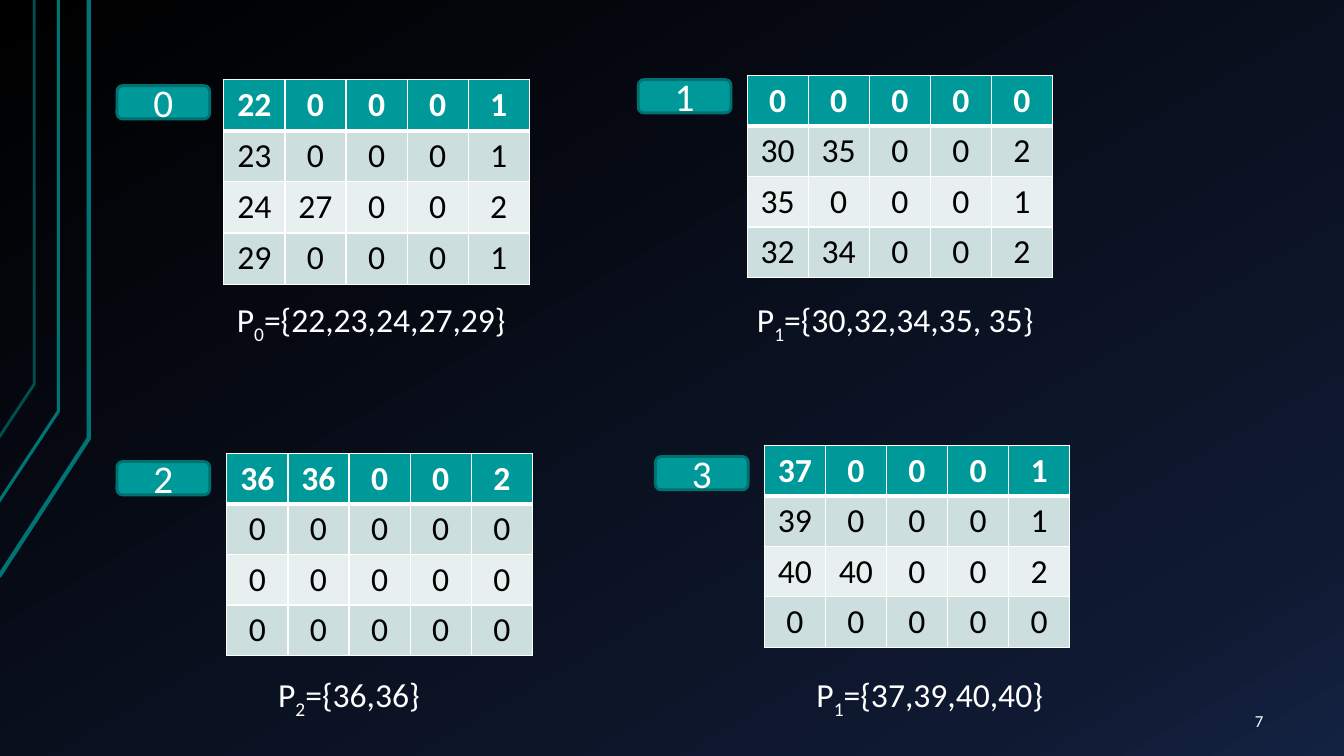
import copy
import pptx
import pptx.util
import pptx.dml.color
import pptx.enum.shapes
import pptx.enum.text
import pptx.oxml
import pptx.oxml.ns
from lxml import etree

Inches, Pt = pptx.util.Inches, pptx.util.Pt
RGB = pptx.dml.color.RGBColor
ALIGN, ANCHOR = pptx.enum.text.PP_ALIGN, pptx.enum.text.MSO_ANCHOR
qn = pptx.oxml.ns.qn

WHITE, BLACK = RGB(0xFF, 0xFF, 0xFF), RGB(0, 0, 0)
NAVY, BLUE = RGB(0x0F, 0x19, 0x31), RGB(0x14, 0x22, 0x42)
TEAL, TEAL_EDGE = RGB(0, 0x99, 0x99), RGB(0, 0x71, 0x71)
BRACKET, BRACKET_DIM = RGB(0, 0x73, 0x73), RGB(0, 0x50, 0x50)
BAND_DARK, BAND_LIGHT = RGB(0xCC, 0xDE, 0xDE), RGB(0xE7, 0xEF, 0xEF)


def add_run(p, text, size, color=WHITE, bold=False):
    r = p.add_run()
    r.text = text
    for name, value in {"size": Pt(size), "name": "Calibri", "bold": bold}.items():
        setattr(r.font, name, value)
    r.font.color.rgb = color
    return r


def add_border(cell, side, width):
    ln = etree.SubElement(cell._tc.get_or_add_tcPr(), qn("a:ln" + side), w=str(Pt(width)))
    fill = etree.SubElement(ln, qn("a:solidFill"))
    etree.SubElement(fill, qn("a:srgbClr"), val=str(WHITE))


prs = pptx.Presentation()
prs.slide_width, prs.slide_height = Inches(13.33), Inches(7.5)
s = prs.slides.add_slide(prs.slide_layouts[6])

# Background gradient
bg = s.background.fill
bg.gradient()
bg.gradient_angle = 300
stops = s.element.find(".//" + qn("a:gsLst"))
stops.insert(1, copy.deepcopy(stops[0]))
for stop, pos, color in zip(bg.gradient_stops, (0, 0.85, 1), (BLACK, NAVY, BLUE)):
    stop.position = pos
    stop.color.rgb = color

# Bracket lines on the left edge
for x0, y0, x1, y1, width, color in (
    (-0.01, 5.72, 0.88, 4.35, 3, BRACKET),
    (-0.02, 4.99, 0.58, 4.08, 2.25, BRACKET),
    (-0.01, 4.34, 0.34, 3.81, 2, BRACKET_DIM),
):
    fb = s.shapes.build_freeform(Inches(x0), Inches(y0))
    fb.add_line_segments([(Inches(x1), Inches(y1)), (Inches(x1), 0)], close=False)
    sp = fb.convert_to_shape()
    sp.shadow.inherit = False
    sp.fill.background()
    sp.line.color.rgb = color
    sp.line.width = Pt(width)

# Processors: label position, table position, caption position, subscript, set, rows
processors = [
    ((1.16, 0.85), (2.22, 0.79), (2.25, 2.92, 2.98), "0", "{22,23,24,27,29}",
     ["22 0 0 0 1", "23 0 0 0 1", "24 27 0 0 2", "29 0 0 0 1"]),
    ((6.33, 0.79), (7.41, 0.75), (7.41, 2.92, 3.06), "1", "{30,32,34,35, 35}",
     ["0 0 0 0 0", "30 35 0 0 2", "35 0 0 0 1", "32 34 0 0 2"]),
    ((1.16, 4.58), (2.25, 4.5), (2.66, 6.64, 1.71), "2", "{36,36}",
     ["36 36 0 0 2", "0 0 0 0 0", "0 0 0 0 0", "0 0 0 0 0"]),
    ((6.5, 4.53), (7.58, 4.42), (8, 6.64, 2.56), "1", "{37,39,40,40}",
     ["37 0 0 0 1", "39 0 0 0 1", "40 40 0 0 2", "0 0 0 0 0"]),
]
for number, (label, grid, caption, sub, members, rows) in enumerate(processors):
    # Number label
    sp = s.shapes.add_shape(pptx.enum.shapes.MSO_SHAPE.ROUNDED_RECTANGLE,
                            Inches(label[0]), Inches(label[1]), Inches(0.92), Inches(0.33))
    sp.shadow.inherit = False
    sp.fill.solid()
    sp.fill.fore_color.rgb = TEAL
    sp.line.color.rgb = TEAL_EDGE
    sp.line.width = Pt(2)
    tf = sp.text_frame
    tf.vertical_anchor = ANCHOR.MIDDLE
    tf.paragraphs[0].alignment = ALIGN.CENTER
    add_run(tf.paragraphs[0], str(number), 28)

    # Value table
    table = s.shapes.add_table(4, 5, Inches(grid[0]), Inches(grid[1]),
                               Inches(3.03), Inches(2)).table
    for i, row in enumerate(rows):
        for j, value in enumerate(row.split()):
            cell = table.cell(i, j)
            for side in "LRTB":
                thick = (i, side) in ((0, "B"), (1, "T"))
                add_border(cell, side, 3 if thick else 1)
            cell.fill.solid()
            cell.fill.fore_color.rgb = (TEAL, BAND_DARK, BAND_LIGHT, BAND_DARK)[i]
            p = cell.text_frame.paragraphs[0]
            p.alignment = ALIGN.CENTER
            add_run(p, value, 24, BLACK if i else WHITE, bold=i == 0)

    # Set caption
    left, top, width = caption
    tf = s.shapes.add_textbox(Inches(left), Inches(top), Inches(width), Inches(0.5)).text_frame
    tf.word_wrap = False
    tf.auto_size = pptx.enum.text.MSO_AUTO_SIZE.SHAPE_TO_FIT_TEXT
    p = tf.paragraphs[0]
    add_run(p, "P", 24)
    add_run(p, sub, 24).font._element.set("baseline", "-25000")
    add_run(p, f"={members} ", 24)

# Slide number
tf = s.shapes.add_textbox(Inches(11.55), Inches(6.95), Inches(1.11), Inches(0.4)).text_frame
for name, value in {"word_wrap": True, "vertical_anchor": ANCHOR.MIDDLE,
                    "margin_left": Inches(0.13), "margin_right": Inches(0.13),
                    "margin_top": Inches(0.07), "margin_bottom": Inches(0.07)}.items():
    setattr(tf, name, value)
tf.paragraphs[0].alignment = ALIGN.RIGHT
add_run(tf.paragraphs[0], "7", 12)

prs.save("out.pptx")
